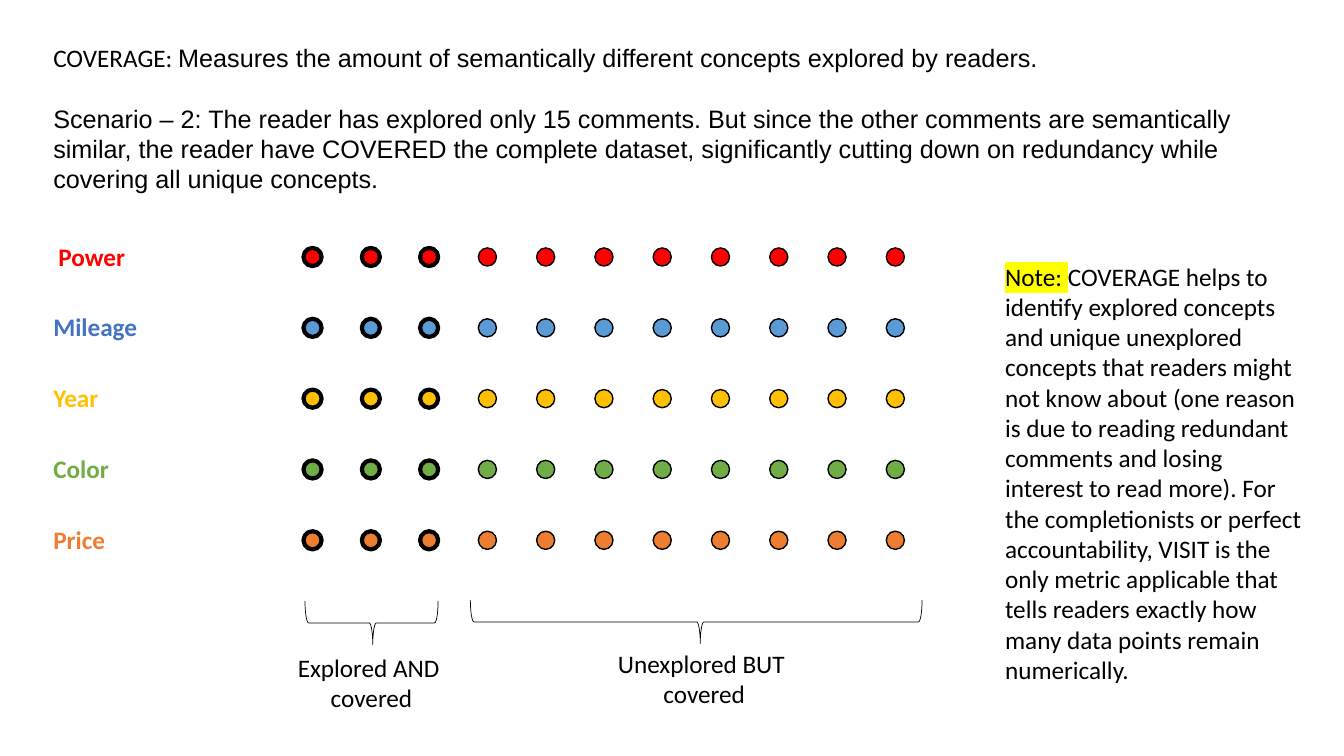
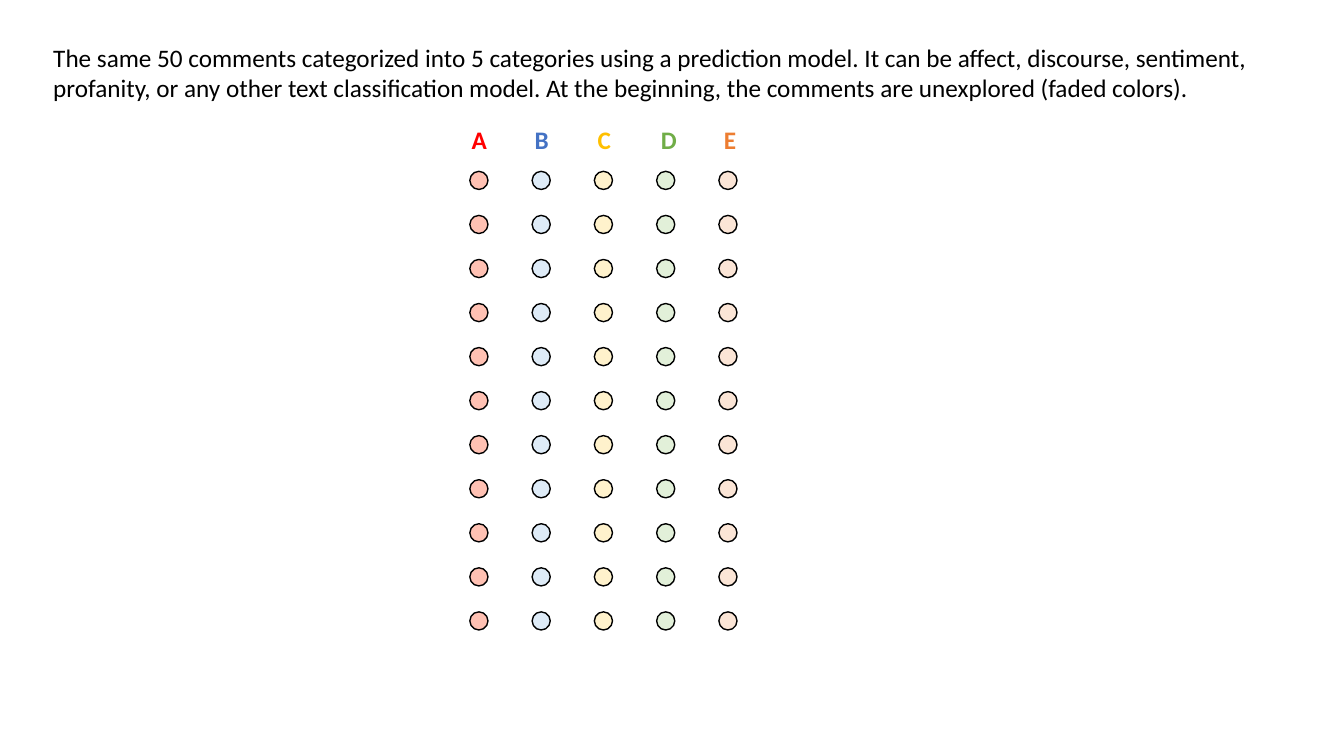
from lxml.etree import SubElement
from pptx import Presentation
from pptx.dml.color import RGBColor
from pptx.enum.shapes import MSO_SHAPE as Shape
from pptx.enum.text import MSO_AUTO_SIZE as AutoSize, PP_ALIGN as Align
from pptx.oxml.ns import qn
from pptx.util import Inches, Pt

COLORS = {
    "black": "000000", "highlight": "FFFF00",
    "red": "FF0000", "blue": "5B9BD5", "gold": "FFC000", "green": "70AD47", "orange": "ED7D31",
    "blue text": "4472C4",
    "faded red": "FFC1B3", "faded blue": "DEEBF7", "faded gold": "FFF2CC",
    "faded green": "E2F0D9", "faded orange": "FBE5D6",
}
RGB = {name: RGBColor.from_string(value) for name, value in COLORS.items()}
TEXT_COLORS = ["red", "blue text", "gold", "green", "orange"]
DOT_COLORS = ["red", "blue", "gold", "green", "orange"]
DOT_SIZE = 0.18
MARGIN = 0.43
TOP = 0.37


def add_text(slide, left, top, width, height, paragraphs,
             color="black", bold=False, align=Align.LEFT, gap=0):
    frame = slide.shapes.add_textbox(
        Inches(left), Inches(top), Inches(width), Inches(height)).text_frame
    frame.word_wrap = True
    frame.auto_size = AutoSize.SHAPE_TO_FIT_TEXT
    for index, runs in enumerate(paragraphs):
        paragraph = frame.add_paragraph() if index else frame.paragraphs[0]
        paragraph.alignment = align
        if index and gap:
            paragraph.space_before = Pt(gap)
        for text, font in runs:
            run = paragraph.add_run()
            run.text = text
            run.font.name = font
            run.font.size = Pt(18)
            run.font.bold = bold
            run.font.color.rgb = RGB[color]
    return frame


def add_dot(slide, left, top, color, line_width=1):
    dot = slide.shapes.add_shape(
        Shape.OVAL, Inches(left), Inches(top), Inches(DOT_SIZE), Inches(DOT_SIZE))
    dot.shadow.inherit = False
    dot.fill.solid()
    dot.fill.fore_color.rgb = RGB[color]
    dot.line.color.rgb = RGB["black"]
    dot.line.width = Pt(line_width)


presentation = Presentation()
presentation.slide_width = Inches(13.33)
presentation.slide_height = Inches(7.5)
blank = presentation.slide_layouts[6]

slide = presentation.slides.add_slide(blank)
for row, color in enumerate(DOT_COLORS):
    for column in range(11):
        add_dot(slide, 3.01 + column * 5.78 / 10, 2.46 + row * 2.81 / 4, color,
                3 if column < 3 else 1)

add_text(slide, MARGIN, TOP, 12.62, 1.62, [
    [("COVERAGE: ", "Calibri"),
     ("Measures the amount of semantically different concepts explored by readers.", "Arial")],
    [("Scenario – 2: The reader has explored only 15 comments. But since the other comments "
      "are semantically similar, the reader have COVERED the complete dataset, significantly "
      "cutting down on redundancy while covering all unique concepts.", "Arial")],
], gap=22)

topics = [("Power", 0.48), ("Mileage", MARGIN), ("Year", MARGIN),
          ("Color", MARGIN), ("Price", MARGIN)]
for row, ((topic, left), color) in enumerate(zip(topics, TEXT_COLORS)):
    add_text(slide, left, 2.34 + row * 2.81 / 4, 1.09, 0.4,
             [[(topic, "Calibri")]], color, bold=True)

groups = [
    ("Explored AND ", (3.47, 5.52, 1.32), (2.35, 6.42, 2.67)),
    ("Unexplored BUT ", (6.69, 3.93, 4.48), (5.57, 6.38, 2.83)),
]
for caption, (left, top, length), (text_left, text_top, text_width) in groups:
    brace = slide.shapes.add_shape(
        Shape.RIGHT_BRACE, Inches(left), Inches(top), Inches(0.43), Inches(length))
    brace.rotation = 90
    brace.adjustments[0] = 0.083
    brace.adjustments[1] = 0.491
    brace.shadow.inherit = False
    brace.fill.background()
    brace.line.color.rgb = RGB["black"]
    brace.line.width = Pt(0.5)
    add_text(slide, text_left, text_top, text_width, 0.71,
             [[(caption, "Calibri")], [("covered", "Calibri")]], align=Align.CENTER)

note = add_text(slide, 9.87, 2.54, 3.18, 4.34, [[
    ("Note: ", "Calibri"),
    ("COVERAGE helps to identify explored concepts and unique unexplored concepts that "
     "readers might not know about (one reason is due to reading redundant comments and "
     "losing interest to read more). For the completionists or perfect accountability, "
     "VISIT is the only metric applicable that tells readers exactly how many data points "
     "remain numerically.", "Calibri"),
]])
properties = note.paragraphs[0].runs[0]._r.get_or_add_rPr()
highlight = SubElement(properties, qn("a:highlight"))
SubElement(highlight, qn("a:srgbClr"), val=COLORS["highlight"])
properties.find(qn("a:solidFill")).addnext(highlight)

slide = presentation.slides.add_slide(blank)
for column, color in enumerate(DOT_COLORS):
    for row in range(11):
        add_dot(slide, 4.66 + column * 2.47 / 4, 1.7 + row * 4.37 / 10, "faded " + color)

add_text(slide, MARGIN, TOP, 12.7, 0.71, [[
    ("The same 50 comments categorized into 5 categories using a prediction model. It can be "
     "affect, discourse, sentiment, profanity, or any other text classification model. At the "
     "beginning, the comments are unexplored (faded colors).", "Calibri"),
]])
for column, (letter, color) in enumerate(zip("ABCDE", TEXT_COLORS)):
    add_text(slide, 4.58 + column * 2.5 / 4, 1.18, 0.38, 0.4,
             [[(letter, "Calibri")]], color, bold=True)

presentation.save("out.pptx")
